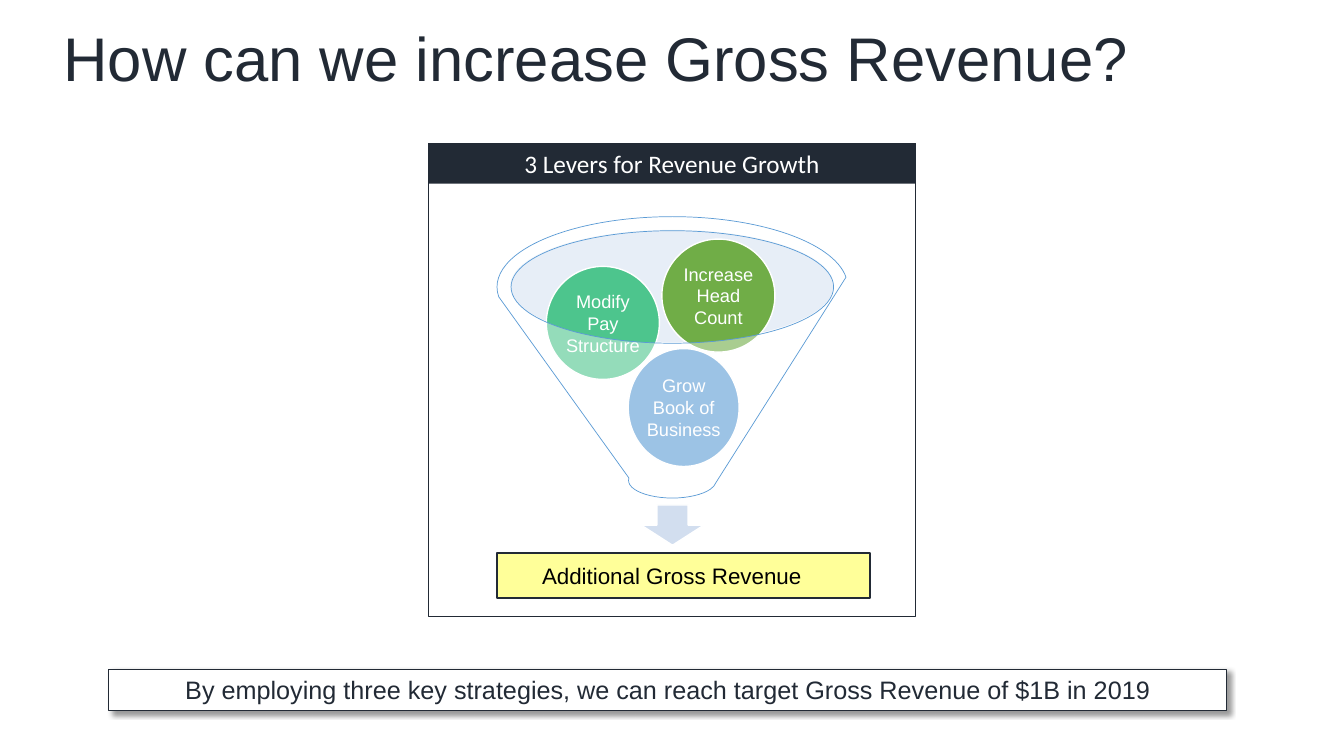
"""Build the slide on three levers that increase gross revenue."""
import pptx
import pptx.util
import pptx.dml.color
import pptx.enum.shapes
import pptx.enum.text
import pptx.oxml
import pptx.oxml.ns

Pt = pptx.util.Pt
SHAPE = pptx.enum.shapes.MSO_SHAPE
ALIGN = pptx.enum.text.PP_ALIGN
ANCHOR = pptx.enum.text.MSO_ANCHOR
qn = pptx.oxml.ns.qn
NAVY, BLUE, WHITE = "222A35", "5B9BD5", "FFFFFF"


def draw(kind, box, fill=None, line=None, weight=0.75, opacity=None):
    shape = slide.shapes.add_shape(kind, *[Pt(length) for length in box])
    shape.shadow.inherit = False
    if fill:
        shape.fill.solid()
        shape.fill.fore_color.rgb = pptx.dml.color.RGBColor.from_string(fill)
    else:
        shape.fill.background()
    if opacity:
        color = shape._element.spPr.find(qn("a:solidFill"))[0]
        color.append(color.makeelement(qn("a:alpha"), {"val": str(opacity * 1000)}))
    if line:
        shape.line.color.rgb = pptx.dml.color.RGBColor.from_string(line)
        shape.line.width = Pt(weight)
    else:
        shape.line.fill.background()
    return shape


def write(holder, text, size, color, font="Arial", align=ALIGN.CENTER, anchor=ANCHOR.MIDDLE, inset=None):
    frame = holder.text_frame
    frame.word_wrap = True
    frame.auto_size = pptx.enum.text.MSO_AUTO_SIZE.NONE
    frame.vertical_anchor = anchor
    if inset is not None:
        frame.margin_left = frame.margin_right = Pt(inset)
        frame.margin_top = frame.margin_bottom = Pt(inset)
    paragraph = frame.paragraphs[0]
    paragraph.text = text
    paragraph.alignment = align
    paragraph.font.size = Pt(size)
    paragraph.font.name = font
    paragraph.font.color.rgb = pptx.dml.color.RGBColor.from_string(color)
    return paragraph


deck = pptx.Presentation()
deck.slide_width, deck.slide_height = Pt(960), Pt(540)
slide = deck.slides.add_slide(deck.slide_layouts[5])

headline = slide.shapes.title
headline.left, headline.top, headline.width, headline.height = Pt(38), Pt(16.5), Pt(885), Pt(104.5)
question = write(headline, "How can we increase Gross Revenue?", 44, NAVY,
                 align=ALIGN.LEFT, anchor=ANCHOR.TOP)
question.line_spacing = 0.9

draw(SHAPE.RECTANGLE, (306, 102.25, 348, 338.25), line=NAVY)
draw(SHAPE.RECTANGLE, (355, 394.75, 266.5, 32.25), "FFFF99", NAVY, 1.5)
draw(SHAPE.OVAL, (364.5, 164.25, 231, 80), "C4D5EB", opacity=40)
draw(SHAPE.DOWN_ARROW, (458, 360.75, 44.75, 28.75), "D2DEEF", WHITE, 1)

outcome = slide.shapes.add_textbox(Pt(372.25), Pt(383.75), Pt(215.25), Pt(54))
write(outcome, "Additional Gross Revenue", 16, "000000", inset=8.64)

levers = [
    ("Grow Book of Business", (448.75, 249, 79.25, 84.25), BLUE, 60),
    ("Modify Pay Structure", (390.25, 190.25, 80.75, 80.75), "4DC58D", None),
    ("Increase Head Count", (472.75, 170.75, 80.75, 80.75), "70AD47", None),
]
for lever, box, fill, opacity in levers:
    ball = draw(SHAPE.OVAL, box, fill, WHITE, 1)
    write(ball, lever, 13, WHITE, inset=1)

draw(SHAPE.FUNNEL, (355, 154.75, 250.5, 201), WHITE, BLUE, 0.5, opacity=40)

conclusion = draw(SHAPE.RECTANGLE, (77.75, 478.25, 798.5, 29), WHITE, NAVY)
write(conclusion, "By employing three key strategies, we can reach target Gross Revenue of $1B in 2019", 18, NAVY)
conclusion._element.spPr.find(qn("a:effectLst")).append(pptx.oxml.parse_xml(
    '<a:outerShdw xmlns:a="http://schemas.openxmlformats.org/drawingml/2006/main" '
    'blurRad="50800" dist="38100" dir="2700000" algn="tl" rotWithShape="0">'
    '<a:srgbClr val="000000"><a:alpha val="40000"/></a:srgbClr></a:outerShdw>'))

panel_header = draw(SHAPE.RECTANGLE, (306, 102.25, 348, 29), NAVY)
write(panel_header, "3 Levers for Revenue Growth", 18, WHITE, "Calibri")

deck.save("out.pptx")
